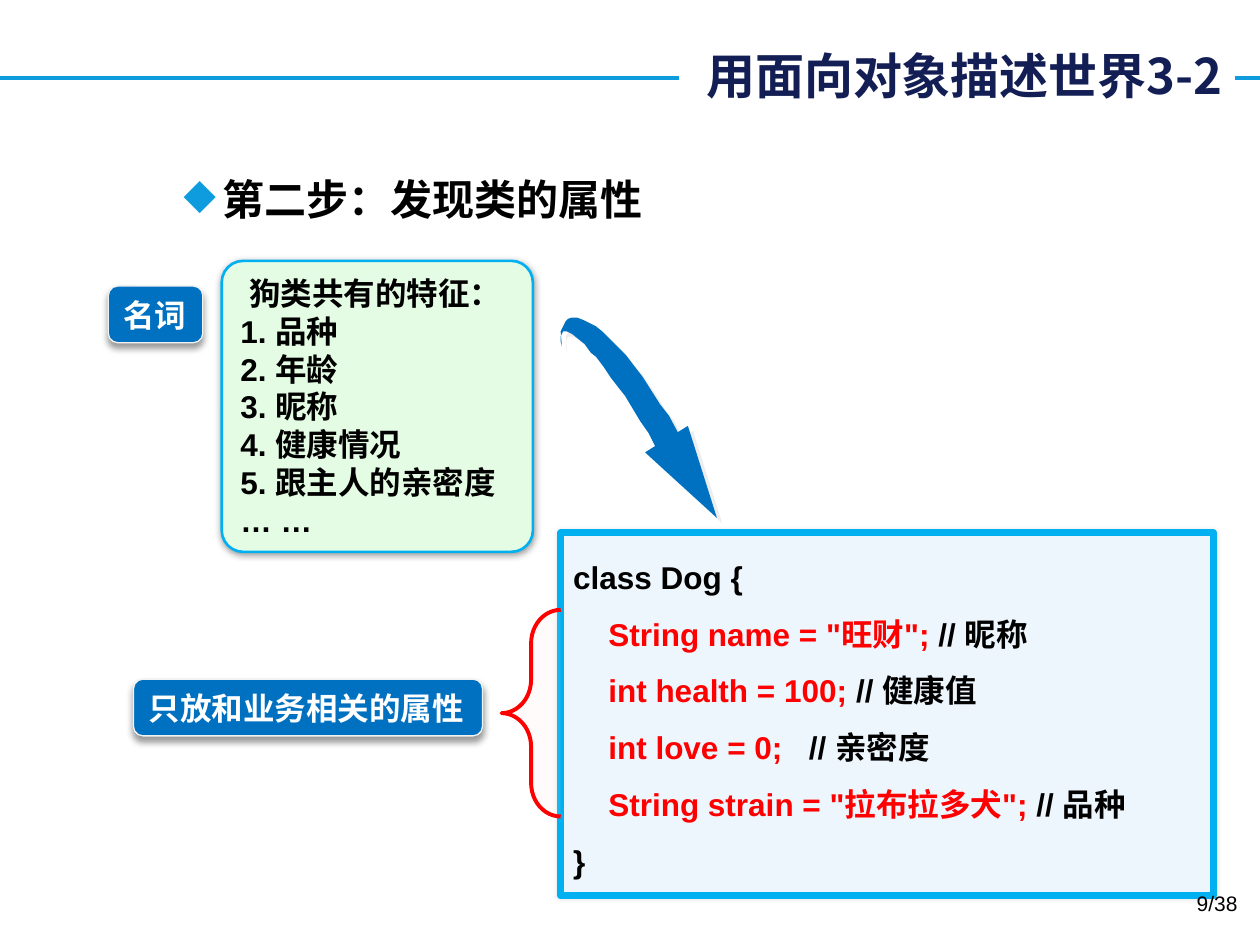
from lxml.etree import SubElement
from pptx import Presentation
from pptx.dml.color import RGBColor
from pptx.enum.shapes import MSO_CONNECTOR, MSO_SHAPE
from pptx.enum.text import MSO_ANCHOR, PP_ALIGN
from pptx.oxml.ns import qn
from pptx.util import Inches, Pt

BLACK, WHITE, RED, BLUE = "000000", "FFFFFF", "FF0000", "0070C0"
SKY, EDGE = "0E9CDE", "00B0F0"
LATIN, HAN = "Arial", "Noto Sans CJK SC"

TITLE = "用面向对象描述世界3-2"
HEAD = "第二步：发现类的属性"
LEAD = "狗类共有的特征："
TRAITS = ["品种", "年龄", "昵称", "健康情况", "跟主人的亲密度"]
FIELDS = [
    ('String name = "旺财";', "昵称", 0),
    ("int health = 100;", "健康值", 0),
    ("int love = 0;", "亲密度", 10),
    ('String strain = "拉布拉多犬";', "品种", 0),
]
TAGS = [
    ("只放和业务相关的属性", (1.06, 5.39, 2.77, 0.45), (0.5, -0.107, 0.167)),
    ("名词", (0.86, 2.27, 0.75, 0.45), (0.499, 0.318, 0.167)),
]
ARROW = [
    (569, 411), (546, 338), (538, 343), (531, 330), (524, 321), (517, 310),
    (510, 299), (503, 290), (497, 282), (490, 275), (484, 269), (478, 263),
    (473, 259), (467, 256), (463, 254), (458, 252), (454, 252), (451, 253),
    (449, 255), (447, 259), (445, 263), (446, 275), (445, 271), (445, 267),
    (447, 263), (450, 263), (454, 265), (459, 269), (464, 273), (469, 280),
    (473, 283), (479, 291), (485, 300), (492, 309), (496, 314), (502, 324),
    (508, 334), (515, 344), (520, 354), (512, 359),
]


def rgb(code):
    return RGBColor.from_string(code)


def node(top, tag, **attrs):
    return SubElement(top, qn(tag), attrs)


def shade(shape, color, alpha, blur, dist, angle):
    shape.shadow.inherit = False
    glow = shape._element.spPr.find(qn("a:effectLst"))
    drop = node(glow, "a:outerShdw", blurRad=str(Pt(blur)), dist=str(Pt(dist)),
                dir=str(angle * 60000), algn="ctr", rotWithShape="0")
    tint = node(drop, "a:srgbClr", val=color)
    node(tint, "a:alpha", val=str(alpha * 1000))


def paint(shape, fill, line=None, width=0):
    shape.shadow.inherit = False
    shape.fill.solid()
    shape.fill.fore_color.rgb = rgb(fill)
    if line:
        shape.line.color.rgb = rgb(line)
        shape.line.width = Pt(width)
    else:
        shape.line.fill.background()


def form(kind, box, adj, *look):
    shape = slide.shapes.add_shape(kind, *map(Inches, box))
    for i, val in enumerate(adj):
        shape.adjustments[i] = val
    paint(shape, *look)
    return shape


def label(box):
    return slide.shapes.add_textbox(*map(Inches, box))


def write(shape, paras, size=18, bold=True, font=LATIN, align=PP_ALIGN.LEFT,
          anchor=MSO_ANCHOR.TOP, space=None, wrap=True):
    frame = shape.text_frame
    frame.word_wrap = wrap
    frame.vertical_anchor = anchor
    for i, (indent, runs) in enumerate(paras):
        para = frame.add_paragraph() if i else frame.paragraphs[0]
        para.alignment = align
        para.line_spacing = space
        if indent:
            para._p.get_or_add_pPr().set("marL", str(Inches(indent)))
        for text, color, *gap in runs:
            run = para.add_run()
            run.text = text
            run.font.size = Pt(size)
            run.font.bold = bold
            run.font.name = font
            run.font.color.rgb = rgb(color)
            node(run.font._element, "a:ea", typeface=HAN)
            if gap and gap[0]:
                run.font._element.set("spc", str(gap[0] * 100))


deck = Presentation()
deck.slide_width, deck.slide_height = Inches(10), Inches(7.5)
slide = deck.slides.add_slide(deck.slide_layouts[6])

rule = slide.shapes.add_connector(
    MSO_CONNECTOR.STRAIGHT, 0, Inches(0.62), Inches(10), Inches(0.62))
rule.line.color.rgb = rgb(SKY)
rule.line.width = Pt(2.25)
node(rule._element.spPr, "a:effectLst")

title = label((5.39, 0.31, 4.41, 0.57))
paint(title, WHITE)
write(title, [(0, [(TITLE, "121E54")])], 28, font=HAN,
      align=PP_ALIGN.RIGHT, anchor=MSO_ANCHOR.MIDDLE)

head = label((0.86, 1.33, 8.36, 5.63))
write(head, [(0.81, [(HEAD, BLACK)])], 24)
props = head.text_frame.paragraphs[0]._p.pPr
props.set("indent", str(Inches(-0.31)))
node(node(props, "a:buClr"), "a:srgbClr", val=SKY)
node(props, "a:buChar", char="◆")

card = form(MSO_SHAPE.ROUNDED_RECTANGLE, (1.76, 2.07, 2.47, 2.31), [0.074],
            "E4FCE4", EDGE, 1.5)
shade(card, BLACK, 40, 4, 1, 90)
items = [f"{i}. {trait}" for i, trait in enumerate(TRAITS, 1)]
write(card, [(0.07, [(LEAD, BLACK)])]
      + [(0, [(item, BLACK)]) for item in items + ["… …"]],
      anchor=MSO_ANCHOR.MIDDLE)

code = form(MSO_SHAPE.ROUNDED_RECTANGLE, (4.45, 4.23, 5.18, 2.88), [0],
            "EDF5FD", EDGE, 4)
shade(code, BLACK, 10, 3, 0, 0)
lines = [(0.28, [(field, RED), (" ", BLACK, gap), ("// " + note, BLACK)])
         for field, note, gap in FIELDS]
write(code, [(0, [("class Dog {", BLACK)]), *lines, (0, [("}", BLACK)])],
      space=1.5)

pen = slide.shapes.build_freeform(*ARROW[0], scale=Inches(0.01))
pen.add_line_segments(ARROW[1:], close=True)
arrow = pen.convert_to_shape()
paint(arrow, BLUE)
shade(arrow, "DDDDDD", 50, 0, 4.2, 45)

for text, box, adj in TAGS:
    tag = form(MSO_SHAPE.ROUNDED_RECTANGULAR_CALLOUT, box, adj,
               BLUE, "F2F2F2", 0.75)
    shade(tag, BLACK, 40, 4, 3, 90)
    write(tag, [(0, [(text, WHITE)])], anchor=MSO_ANCHOR.BOTTOM, wrap=False)

brace = form(MSO_SHAPE.RIGHT_BRACE, (3.98, 4.84, 0.47, 1.64), (0.565, 0.5),
             "FFDDDD", RED, 2.25)
brace.rotation = 180
tint = brace._element.spPr.find(qn("a:solidFill")).find(qn("a:srgbClr"))
node(tint, "a:alpha", val="10000")

write(label((7.59, 7.02, 2.33, 0.4)), [(0, [("9/38", BLACK)])], 12,
      bold=False, align=PP_ALIGN.RIGHT)

deck.save("out.pptx")
